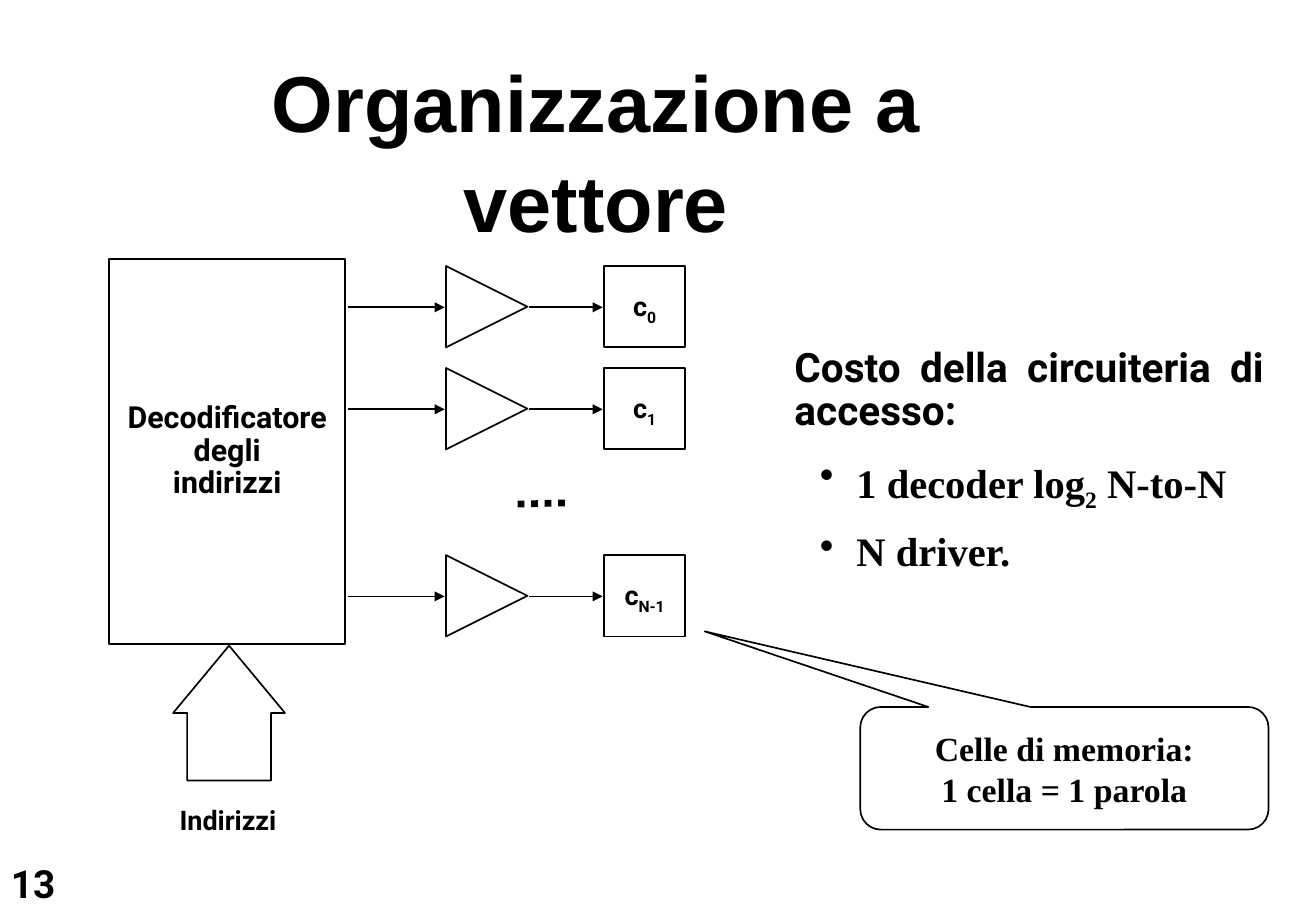
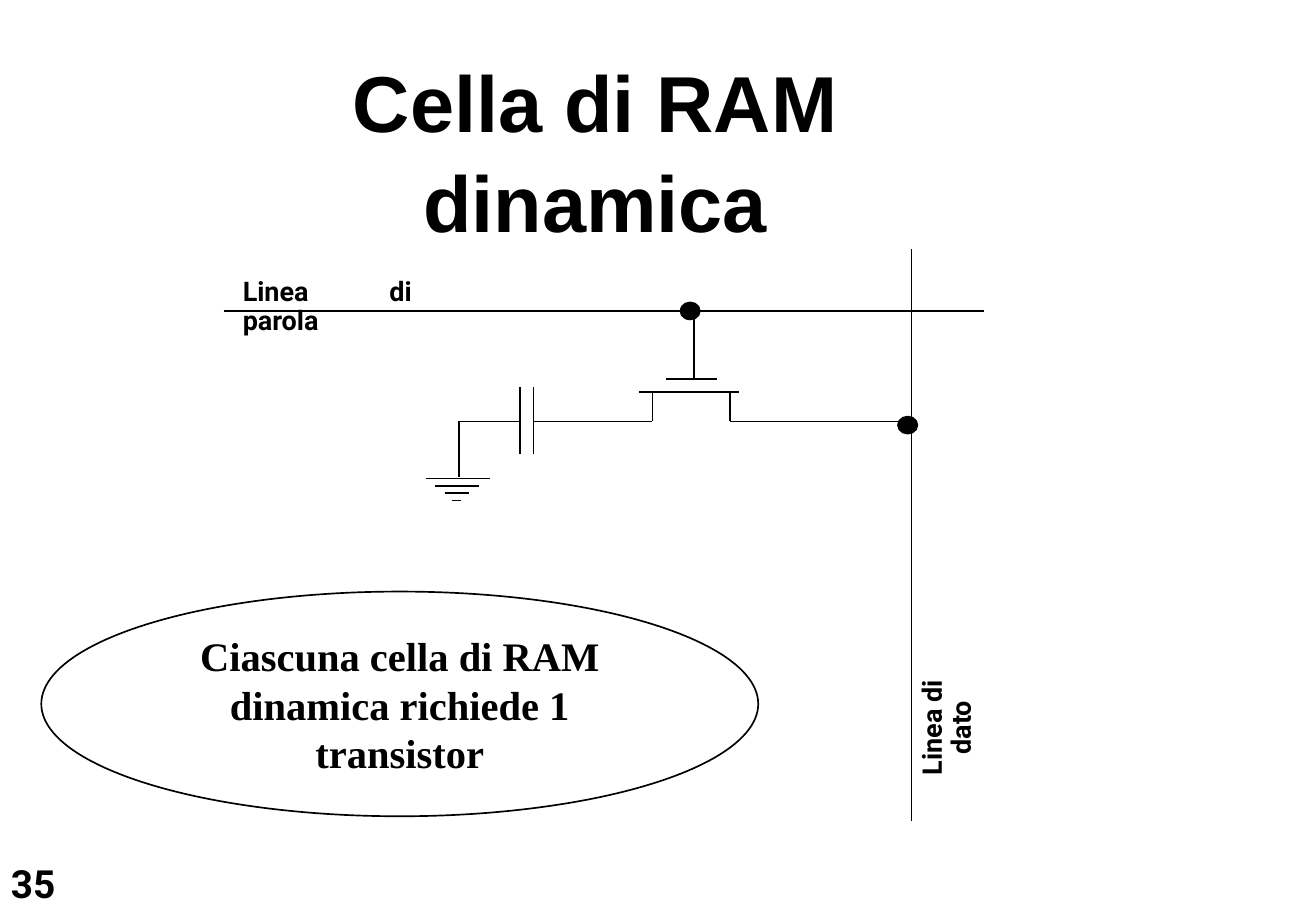
import dataclasses

import pptx
import pptx.dml.color
import pptx.enum.dml
import pptx.enum.shapes
import pptx.enum.text
import pptx.oxml.ns
import pptx.util
from lxml import etree

PX = 9144  # one hundredth of an inch
Pt = pptx.util.Pt
RGB = pptx.dml.color.RGBColor
KIND = pptx.enum.shapes.MSO_SHAPE
ALIGN = pptx.enum.text.PP_ALIGN
ANCHOR = pptx.enum.text.MSO_ANCHOR
qn = pptx.oxml.ns.qn


@dataclasses.dataclass(frozen=True)
class Style:
    font: str
    size: int
    lead: float = 1.0


class Theme:
    ink = RGB(0, 0, 0)
    paper = RGB(255, 255, 255)
    line = 1
    dots = 4
    title = Style("Arial", 47, 1.05)
    page = Style("Roboto", 23)
    block = Style("Roboto", 18, 0.9)
    label = Style("Roboto", 16, 0.9)
    lead = Style("Roboto", 24, 0.9)
    item = Style("Times New Roman", 24, 0.9)
    note = Style("Times New Roman", 20)
    claim = Style("Times New Roman", 24)


def px(*nums):
    return [pptx.util.Emu(n * PX) for n in nums]


def para(frame, style, runs, align=ALIGN.CENTER):
    """Add a paragraph; a run is text, or (text,) when it is a subscript."""
    first = frame.paragraphs[0]
    part = frame.add_paragraph() if first.runs else first
    part.alignment = align
    part.line_spacing = style.lead
    for item in runs:
        if item == "\n":
            part.add_line_break()
            continue
        sub = isinstance(item, tuple)
        run = part.add_run()
        run.text = item[0] if sub else item
        font = run.font
        font.name, font.size, font.bold = style.font, Pt(style.size), True
        font.color.rgb = Theme.ink
        if sub:
            run._r.get_or_add_rPr().set("baseline", "-25000")
    return part


def setup(frame, pads=(10, 5, 10, 5), wrap=True, anchor=ANCHOR.TOP):
    frame.word_wrap = wrap
    frame.vertical_anchor = anchor
    (frame.margin_left, frame.margin_top,
     frame.margin_right, frame.margin_bottom) = px(*pads)
    return frame


def text(slide, box, style, runs, align=ALIGN.CENTER, turn=0, **opts):
    shape = slide.shapes.add_textbox(*px(*box))
    shape.rotation = turn
    para(setup(shape.text_frame, **opts), style, runs, align)


def shape(slide, kind, box, fill=None, turn=0, adj=()):
    item = slide.shapes.add_shape(kind, *px(*box))
    item.shadow.inherit = False
    item.rotation = turn
    for i, value in enumerate(adj):
        item.adjustments[i] = value
    if fill is None:
        item.fill.background()
    else:
        item.fill.solid()
        item.fill.fore_color.rgb = fill
    item.line.color.rgb = Theme.ink
    item.line.width = Pt(Theme.line)
    return item


def wire(slide, x1, y1, x2, y2, head=False, dots=False):
    link = slide.shapes.add_connector(
        pptx.enum.shapes.MSO_CONNECTOR.STRAIGHT, *px(x1, y1, x2, y2))
    link.line.color.rgb = Theme.ink
    link.line.width = Pt(Theme.dots if dots else Theme.line)
    if dots:
        link.line.dash_style = pptx.enum.dml.MSO_LINE.ROUND_DOT
    if head:
        etree.SubElement(link.line._get_or_add_ln(), qn("a:tailEnd"),
                         type="triangle")
    etree.SubElement(link._element.spPr, qn("a:effectLst"))


def base(deck, title, box, page):
    """Add a blank slide with its title and page number."""
    slide = deck.slides.add_slide(deck.slide_layouts[6])
    text(slide, box, Theme.title, [title], pads=(20, 5, 20, 2))
    text(slide, (4, 706, 54, 43), Theme.page, [page], ALIGN.LEFT,
         pads=(5, 2, 5, 2), wrap=False)
    return slide


def decoder(slide, x, y, w, h):
    """Draw the decoder with the address arrow below it."""
    box = shape(slide, KIND.RECTANGLE, (x, y, w, h))
    para(setup(box.text_frame, wrap=False, anchor=ANCHOR.MIDDLE), Theme.block,
         ["Decodificatore", "\n", "degli", "\n", "indirizzi"])
    shape(slide, KIND.RIGHT_ARROW, (x + 43, y + h + 11, 111, 92), turn=270,
          adj=(0.75, 0.602))
    text(slide, (x + 48, y + h + 130, 104, 34), Theme.label, ["Indirizzi"],
         ALIGN.JUSTIFY, wrap=False)


def row(slide, x, y, size, index):
    """Draw wire, driver, wire and memory cell from left to right."""
    mid = y + size // 2 + 1
    wire(slide, x, mid, x + 80, mid, head=True)
    shape(slide, KIND.ISOSCELES_TRIANGLE, (x + 81, y, size, size), turn=90)
    wire(slide, x + 149, mid, x + 210, mid, head=True)
    cell = shape(slide, KIND.RECTANGLE, (x + 211, y, size, size))
    para(setup(cell.text_frame, wrap=False, anchor=ANCHOR.MIDDLE),
         Theme.label, ["c", (index,)])


def cost(slide, box):
    area = slide.shapes.add_textbox(*px(*box))
    frame = setup(area.text_frame)
    para(frame, Theme.lead, ["Costo della circuiteria di accesso:"],
         ALIGN.JUSTIFY)
    for runs in (["1 decoder log", ("2",), " N-to-N"], ["N driver."]):
        part = para(frame, Theme.item, runs, ALIGN.JUSTIFY)
        part.space_before = Pt(14)
        props = part._p.get_or_add_pPr()
        props.set("marL", str(51 * PX))
        props.set("indent", str(-30 * PX))
        etree.SubElement(props, qn("a:buChar"), char="•")


def callout(slide, box):
    note = shape(slide, KIND.ROUNDED_RECTANGULAR_CALLOUT, box, Theme.paper,
                 adj=(-0.881, -1.116, 0.167))
    frame = setup(note.text_frame, anchor=ANCHOR.MIDDLE)
    for line in ("Celle di memoria:", "1 cella = 1 parola"):
        para(frame, Theme.note, [line])


def ground(slide, x, y):
    wire(slide, x, y, x, y + 46)
    for i, (left, right) in enumerate(((-27, 25), (-20, 16), (-12, 8), (-6, 1))):
        bar = y + 47 + 6 * i
        wire(slide, x + left, bar, x + right, bar)


def plates(slide, x, y):
    """Draw the capacitor, centred on its wire at y."""
    for side in (x, x + 11):
        wire(slide, side, y - 28, side, y + 27)


def gate(slide, x, y, top):
    """Draw the transistor; its gate wire rises from y to top."""
    wire(slide, x, y, x, top)
    wire(slide, x - 23, y, x + 19, y)
    wire(slide, x - 45, y + 11, x + 37, y + 11)
    for leg in (x - 34, x + 30):
        wire(slide, leg, y + 11, leg, y + 35)


def dot(slide, x, y):
    shape(slide, KIND.OVAL, (x - 8, y - 7, 16, 14), Theme.ink)


def circuit(slide, x, y):
    """Draw the cell; x, y is the left end of the word line."""
    level = y + 91
    wire(slide, x, y, x + 626, y)
    wire(slide, x + 566, y - 51, x + 566, y + 420)
    ground(slide, x + 194, level)
    plates(slide, x + 244, level)
    gate(slide, x + 387, y + 56, y)
    for left, right in ((194, 244), (255, 353), (417, 566)):
        wire(slide, x + left, level, x + right, level)
    dot(slide, x + 384, y)
    dot(slide, x + 563, y + 94)
    text(slide, (x + 6, y - 32, 166, 34), Theme.label, ["Linea di parola"],
         ALIGN.JUSTIFY, pads=(10, 5, 17, 5))
    text(slide, (x + 511, y + 326, 146, 34), Theme.label, ["Linea di dato"],
         turn=270, pads=(16, 5, 16, 5))


def vector(deck):
    slide = base(deck, "Organizzazione a vettore", (101, 35, 779, 82), "13")
    decoder(slide, 90, 213, 194, 317)
    for y, index in ((219, "0"), (303, "1"), (457, "N-1")):
        row(slide, 286, y, 67, index)
    wire(slide, 426, 415, 466, 414, dots=True)
    cost(slide, (644, 281, 406, 196))
    callout(slide, (708, 582, 336, 101))


def dynamic(deck):
    slide = base(deck, "Cella di RAM dinamica", (135, 35, 710, 82), "35")
    circuit(slide, 184, 256)
    claim = shape(slide, KIND.OVAL, (34, 487, 590, 185), Theme.paper)
    para(setup(claim.text_frame, anchor=ANCHOR.MIDDLE), Theme.claim,
         ["Ciascuna cella di RAM dinamica richiede 1 transistor"])


def main():
    deck = pptx.Presentation()
    deck.slide_width, deck.slide_height = px(1083, 750)
    vector(deck)
    dynamic(deck)
    deck.save("out.pptx")


if __name__ == "__main__":
    main()
